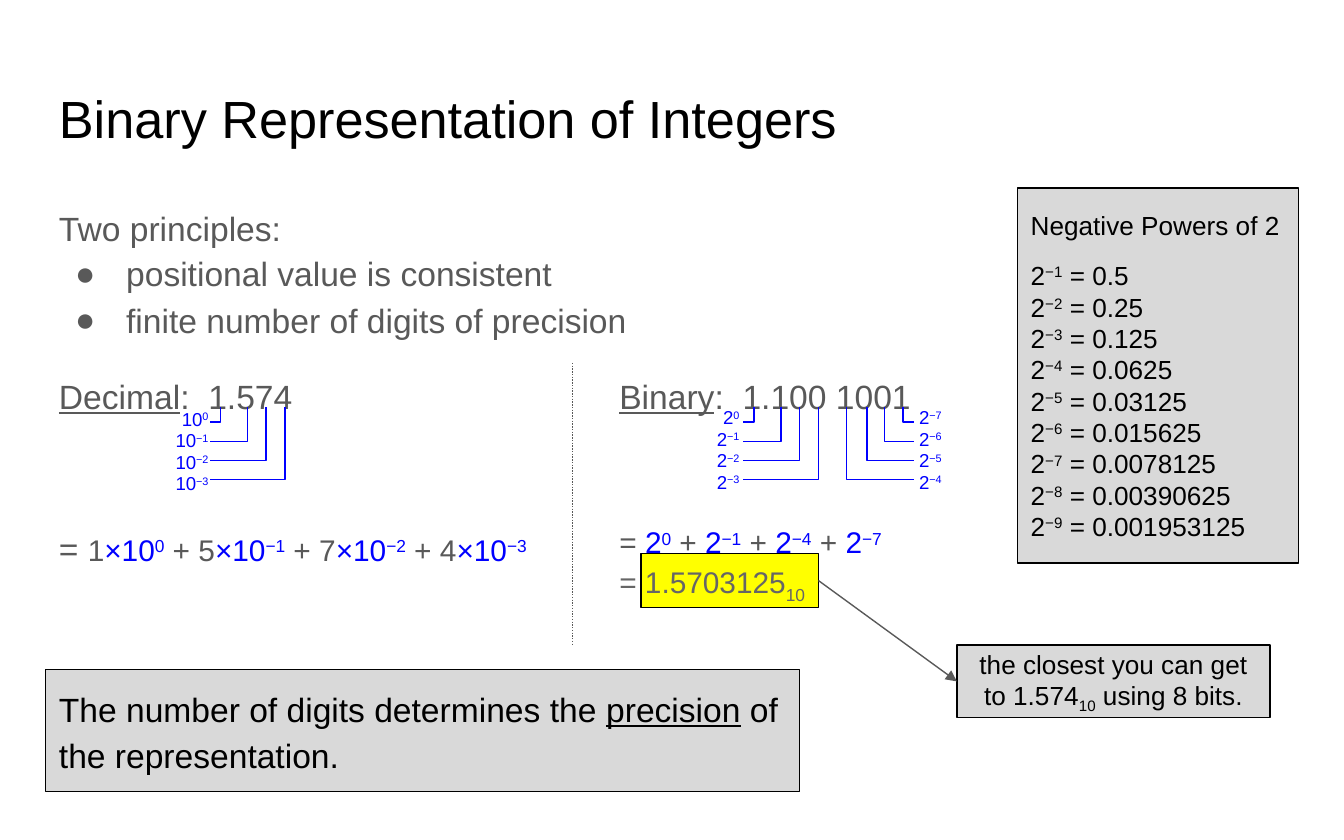
from dataclasses import dataclass

from lxml import etree
from pptx import Presentation
from pptx.dml.color import RGBColor
from pptx.enum.dml import MSO_LINE
from pptx.enum.shapes import MSO_CONNECTOR, MSO_SHAPE
from pptx.enum.text import MSO_ANCHOR, MSO_AUTO_SIZE, PP_ALIGN
from pptx.oxml.ns import qn
from pptx.util import Inches, Pt

LEFT, CENTER, RIGHT = PP_ALIGN.LEFT, PP_ALIGN.CENTER, PP_ALIGN.RIGHT
TOP, MIDDLE = MSO_ANCHOR.TOP, MSO_ANCHOR.MIDDLE
RECTANGLE = MSO_SHAPE.RECTANGLE
STRAIGHT = MSO_CONNECTOR.STRAIGHT
DOTTED = MSO_LINE.ROUND_DOT
NO_AUTOFIT = MSO_AUTO_SIZE.NONE
MINUS = "\u2212"


@dataclass(frozen=True)
class Theme:
    font: str = "Arial"
    black: str = "000000"
    body_gray: str = "595959"
    result_gray: str = "666666"
    blue: str = "0000FF"
    yellow: str = "FFFF00"
    panel: str = "D9D9D9"
    title: int = 28
    body: int = 18
    sum: int = 16
    note: int = 14
    label: int = 10
    stroke: float = 0.75
    superscript: int = 30
    subscript: int = -25
    spacing: float = 1.15


THEME = Theme()


@dataclass(frozen=True)
class Phrase:
    text: str
    color: str = ""
    size: int = 0
    baseline: int = 0
    underline: bool = False


@dataclass(frozen=True)
class Line:
    phrases: list
    after: int = 0
    bullet: bool = False


def rgb(value):
    return RGBColor.from_string(value)


def power(base, exponent, color=""):
    sign = MINUS if exponent else ""
    return [Phrase(base, color), Phrase(f"{sign}{exponent}", color, baseline=THEME.superscript)]


def subscript(text):
    return Phrase(text, baseline=THEME.subscript)


def add_bullet(paragraph):
    properties = paragraph._p.get_or_add_pPr()
    properties.set("marL", str(Inches(0.5)))
    properties.set("indent", str(Inches(-0.38)))
    bullet_color = etree.SubElement(properties, qn("a:buClr"))
    etree.SubElement(bullet_color, qn("a:srgbClr"), val=THEME.body_gray)
    etree.SubElement(properties, qn("a:buFont"), typeface=THEME.font)
    etree.SubElement(properties, qn("a:buChar"), char="\u25cf")


def write(shape, lines, size, color, align=LEFT, anchor=TOP, spacing=1.0):
    frame = shape.text_frame
    frame.word_wrap = True
    frame.auto_size = NO_AUTOFIT
    frame.vertical_anchor = anchor
    frame.margin_left = frame.margin_right = Inches(0.1)
    frame.margin_top = frame.margin_bottom = Inches(0.1)
    for index, line in enumerate(lines):
        paragraph = frame.add_paragraph() if index else frame.paragraphs[0]
        paragraph.alignment = align
        paragraph.line_spacing = spacing
        paragraph.space_after = Pt(line.after)
        if line.bullet:
            add_bullet(paragraph)
        for phrase in line.phrases:
            run = paragraph.add_run()
            run.text = phrase.text
            run.font.name = THEME.font
            run.font.size = Pt(phrase.size or size)
            run.font.color.rgb = rgb(phrase.color or color)
            if phrase.underline:
                run.font.underline = True
            if phrase.baseline:
                run._r.get_or_add_rPr().set("baseline", str(phrase.baseline * 1000))


def add_text(slide, box, lines, size, color, **layout):
    write(slide.shapes.add_textbox(*map(Inches, box)), lines, size, color, **layout)


def add_body(slide, box, lines, size=THEME.body, color=THEME.body_gray):
    add_text(slide, box, lines, size, color, spacing=THEME.spacing)


def add_panel(slide, box, fill):
    panel = slide.shapes.add_shape(RECTANGLE, *map(Inches, box))
    panel.shadow.inherit = False
    panel.fill.solid()
    panel.fill.fore_color.rgb = rgb(fill)
    panel.line.color.rgb = rgb(THEME.black)
    panel.line.width = Pt(THEME.stroke)
    return panel


def add_line(slide, start, end):
    line = slide.shapes.add_connector(STRAIGHT, *map(Inches, start + end))
    line.line.color.rgb = rgb(THEME.body_gray)
    line.line.width = Pt(THEME.stroke)
    etree.SubElement(line._element.spPr, qn("a:effectLst"))
    return line


def add_bracket(slide, digit_x, label_x, drop_y):
    pen = slide.shapes.build_freeform(Inches(digit_x), Inches(3.03))
    corner = (Inches(digit_x), Inches(drop_y))
    pen.add_line_segments([corner, (Inches(label_x), Inches(drop_y))], close=False)
    bracket = pen.convert_to_shape()
    bracket.shadow.inherit = False
    bracket.fill.background()
    bracket.line.color.rgb = rgb(THEME.blue)
    bracket.line.width = Pt(THEME.stroke)


def add_place_values(slide, base, exponents, digits, label_x, label_box, align):
    left, top, width = label_box
    for row, (exponent, digit_x) in enumerate(zip(exponents, digits)):
        add_bracket(slide, digit_x, label_x, 3.14 + row * 0.43 / 3)
        add_text(slide, (left, top + row * 0.16, width, 0.15), [Line(power(base, exponent))],
                 THEME.label, THEME.blue, align=align, anchor=MIDDLE)


def add_principles(slide):
    add_body(slide, (0.34, 1.4, 9.32, 4.15), [Line([Phrase("Two principles:")])])
    add_body(slide, (0.34, 1.74, 9.32, 4.15), [
        Line([Phrase("positional value is consistent")], bullet=True),
        Line([Phrase("finite number of digits of precision")], after=16, bullet=True),
        Line([Phrase("Decimal", underline=True), Phrase(":  1.574")], after=16),
    ])


def add_decimal(slide):
    terms = [Phrase("= ", size=THEME.body)]
    for place, digit in enumerate("1574"):
        terms.append(Phrase(f" + {digit}" if place else digit))
        terms += power("\u00d710", place, THEME.blue)
    add_body(slide, (0.34, 3.78, 4.14, 1.21), [Line(terms, after=10)], THEME.sum)
    add_place_values(slide, "10", range(4), (1.64, 1.84, 1.98, 2.12), 1.56,
                     (1.15, 3.04, 0.5), RIGHT)


def add_binary(slide):
    add_panel(slide, (4.77, 4.12, 1.32, 0.4), THEME.yellow)
    terms = []
    for exponent in (0, 1, 4, 7):
        terms.append(Phrase(" + " if terms else "= "))
        terms += power("2", exponent, THEME.blue)
    add_body(slide, (4.51, 3.76, 2.95, 1.21), [Line(terms)], THEME.sum)
    result = [Phrase("= 1.5703125"), subscript("10")]
    add_body(slide, (4.51, 4.05, 2.95, 1.21), [Line(result)], THEME.sum, THEME.result_gray)
    heading = [Phrase("Binary", underline=True), Phrase(":  1.100 1001")]
    add_body(slide, (4.51, 2.65, 5.79, 1.7), [Line(heading, after=16)])
    add_place_values(slide, "2", range(4), (5.61, 5.81, 5.95, 6.09), 5.53,
                     (5.17, 3.03, 0.43), RIGHT)
    add_place_values(slide, "2", range(7, 3, -1), (6.72, 6.58, 6.45, 6.3), 6.8,
                     (6.74, 3.03, 0.72), LEFT)


def add_powers_panel(slide):
    lines = [Line([Phrase("Negative Powers of 2")], after=10)]
    for n in range(1, 10):
        lines.append(Line(power("2", n) + [Phrase(f" = {2 ** -n:.{n}f}")]))
    panel = add_panel(slide, (7.57, 1.4, 2.09, 2.79), THEME.panel)
    write(panel, lines, THEME.note, THEME.black, anchor=MIDDLE)


def add_closest_note(slide):
    note = add_panel(slide, (7.12, 4.8, 2.33, 0.54), THEME.panel)
    remark = [Phrase("the closest you can get to 1.574"), subscript("10"),
              Phrase(" using 8 bits.")]
    write(note, [Line(remark)], THEME.note, THEME.black, align=CENTER, anchor=MIDDLE)
    arrow = add_line(slide, (6.09, 4.32), (7.12, 5.07))
    etree.SubElement(arrow.line._get_or_add_ln(), qn("a:tailEnd"), type="triangle")


def add_conclusion(slide):
    conclusion = add_panel(slide, (0.34, 4.98, 5.61, 0.91), THEME.panel)
    sentence = [Phrase("The number of digits determines the "),
                Phrase("precision", underline=True), Phrase(" of the representation.")]
    write(conclusion, [Line(sentence)], THEME.body, THEME.black, spacing=THEME.spacing)


def main():
    deck = Presentation()
    deck.slide_width, deck.slide_height = Inches(10), Inches(6.25)
    slide = deck.slides.add_slide(deck.slide_layouts[6])
    add_text(slide, (0.34, 0.54, 9.32, 0.7), [Line([Phrase("Binary Representation of Integers")])],
             THEME.title, THEME.black)
    add_principles(slide)
    add_decimal(slide)
    add_binary(slide)
    add_line(slide, (4.26, 2.7), (4.26, 4.8)).line.dash_style = DOTTED
    add_powers_panel(slide)
    add_closest_note(slide)
    add_conclusion(slide)
    deck.save("out.pptx")


main()
